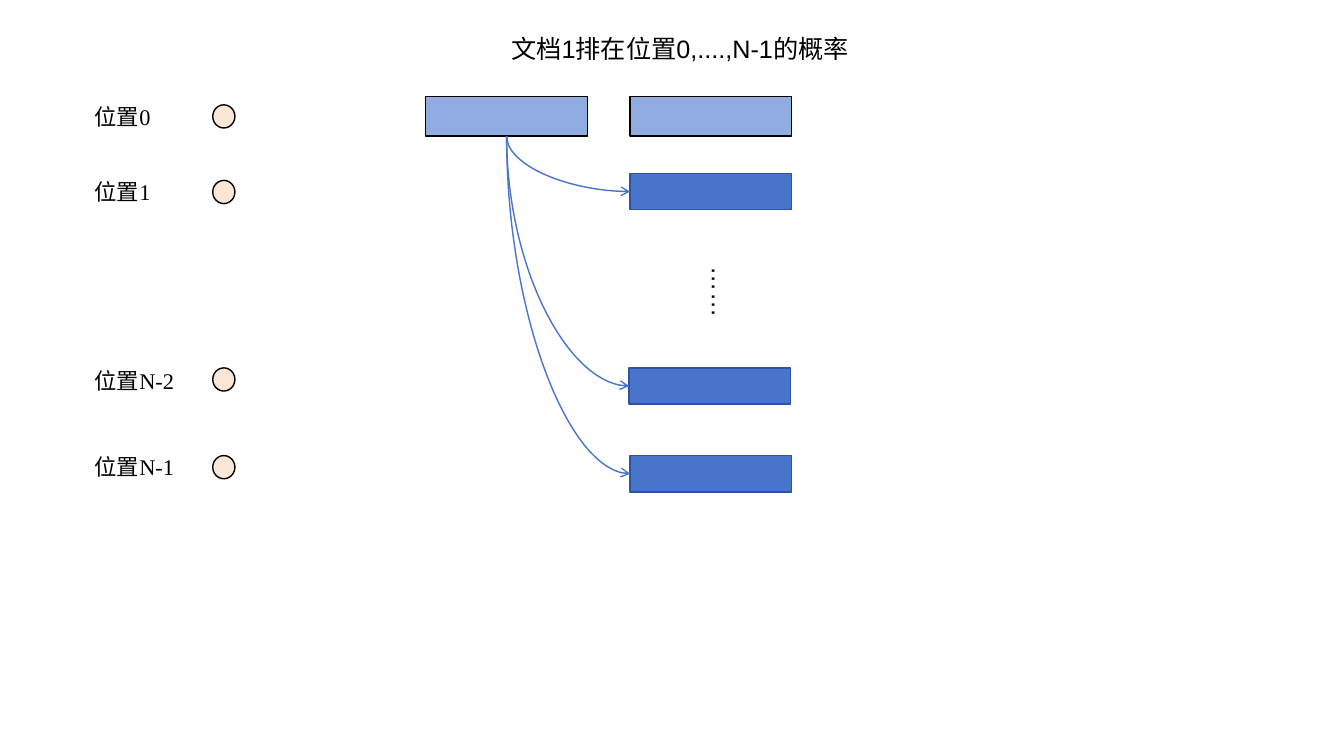
"""Build the slide on how likely document 1 is to land on each ranking position."""
from dataclasses import dataclass

import pptx
import pptx.dml.color
import pptx.enum.shapes
import pptx.enum.text
import pptx.oxml
import pptx.oxml.ns
import pptx.shapes.autoshape
import pptx.slide
import pptx.text.text
import pptx.util

EMU_PER_PX = 9144
BLACK = pptx.dml.color.RGBColor(0x00, 0x00, 0x00)
BLUE = pptx.dml.color.RGBColor(0x48, 0x74, 0xCB)
DARK_BLUE = pptx.dml.color.RGBColor(0x2E, 0x54, 0xA1)
LIGHT_BLUE = pptx.dml.color.RGBColor(0x91, 0xAC, 0xE0)
PEACH = pptx.dml.color.RGBColor(0xFC, 0xE6, 0xD5)
RECTANGLE = pptx.enum.shapes.MSO_SHAPE.RECTANGLE
OVAL = pptx.enum.shapes.MSO_SHAPE.OVAL


@dataclass(frozen=True)
class Box:
    """A rectangle in px."""

    left: int
    top: int
    width: int
    height: int

    def emu(self) -> tuple[int, ...]:
        """Return left, top, width and height in EMU."""
        return tuple(px(v) for v in (self.left, self.top, self.width, self.height))


@dataclass(frozen=True)
class Position:
    """One ranking position: its label, circle and target bar."""

    label: str
    label_top: int
    label_width: int
    circle_top: int
    bar: Box
    bar_fill: pptx.dml.color.RGBColor = BLUE
    bar_line: pptx.dml.color.RGBColor = DARK_BLUE


SOURCE_BAR = Box(422, 96, 161, 39)
FIRST = Position("位置0", 97, 84, 104, Box(625, 96, 160, 39), LIGHT_BLUE, BLACK)
LATER = [
    Position("位置1", 172, 84, 179, Box(625, 172, 160, 36)),
    Position("位置N-2", 359, 127, 365, Box(624, 365, 160, 36)),
    Position("位置N-1", 445, 113, 452, Box(625, 452, 160, 36)),
]


def px(length: float) -> int:
    """Turn px into EMU."""
    return round(length * EMU_PER_PX)


def add_outline(slide: pptx.slide.Slide, kind: pptx.enum.shapes.MSO_SHAPE, box: Box,
                fill: pptx.dml.color.RGBColor, line: pptx.dml.color.RGBColor) -> None:
    """Draw a filled shape with a thin outline."""
    shape = slide.shapes.add_shape(kind, *box.emu())
    shape.shadow.inherit = False
    shape.fill.solid()
    shape.fill.fore_color.rgb = fill
    shape.line.color.rgb = line
    shape.line.width = pptx.util.Pt(1)


def write(frame: pptx.text.text.TextFrame, wording: str, size: int, font: str) -> None:
    """Put one left-aligned run into a text frame."""
    frame.word_wrap = True
    frame.auto_size = pptx.enum.text.MSO_AUTO_SIZE.SHAPE_TO_FIT_TEXT
    frame.vertical_anchor = pptx.enum.text.MSO_ANCHOR.TOP
    paragraph = frame.paragraphs[0]
    paragraph.alignment = pptx.enum.text.PP_ALIGN.LEFT
    run = paragraph.add_run()
    run.text = wording
    run.font.size = pptx.util.Pt(size)
    run.font.name = font
    run.font.color.rgb = BLACK


def add_arrow(slide: pptx.slide.Slide, source: Box, target: Box) -> None:
    """Curve an arrow from the bottom of source to the left side of target."""
    start_x, start_y = source.left + source.width / 2, source.top + source.height
    end_x, end_y = target.left, target.top + target.height / 2
    middle_x, middle_y = (start_x + end_x) / 2, (start_y + end_y) / 2
    half_run, half_drop = (end_x - start_x) / 2, (end_y - start_y) / 2
    arrow = slide.shapes.add_connector(
        pptx.enum.shapes.MSO_CONNECTOR.CURVE,
        px(middle_x - half_drop), px(middle_y + half_run),
        px(middle_x + half_drop), px(middle_y - half_run))
    arrow.line.color.rgb = BLUE
    arrow.line.width = pptx.util.Pt(1)
    qn = pptx.oxml.ns.qn
    properties = arrow._element.spPr
    properties.find(qn("a:xfrm")).set("rot", str(90 * 60000))
    properties.find(qn("a:prstGeom")).set("prst", "curvedConnector2")
    namespace = pptx.oxml.ns.nsdecls("a")
    properties.find(qn("a:ln")).append(
        pptx.oxml.parse_xml(f'<a:tailEnd {namespace} type="arrow"/>'))
    properties.append(pptx.oxml.parse_xml(f"<a:effectLst {namespace}/>"))


def add_position(slide: pptx.slide.Slide, position: Position) -> None:
    """Draw the label, circle and bar of one position."""
    label_box = Box(84, position.label_top, position.label_width, 37)
    label = slide.shapes.add_textbox(*label_box.emu())
    write(label.text_frame, position.label, 16, "Times New Roman")
    add_outline(slide, OVAL, Box(211, position.circle_top, 22, 23), PEACH, BLACK)
    add_outline(slide, RECTANGLE, position.bar, position.bar_fill, position.bar_line)


def main() -> None:
    """Build and save the slide."""
    deck = pptx.Presentation()
    deck.slide_width, deck.slide_height = px(1333), px(750)
    slide = deck.slides.add_slide(deck.slide_layouts.get_by_name("Title Only"))

    title = slide.shapes.title
    title.left, title.top, title.width, title.height = Box(497, 28, 444, 40).emu()
    write(title.text_frame, "文档1排在位置0,....,N-1的概率", 18, "Arial")

    for position in [FIRST, *LATER]:
        add_position(slide, position)

    omitted = slide.shapes.add_textbox(*Box(686, 255, 50, 74).emu())
    write(omitted.text_frame, "……", 18, "Arial")
    omitted.text_frame._txBody.bodyPr.set("vert", "eaVert")

    add_outline(slide, RECTANGLE, SOURCE_BAR, LIGHT_BLUE, BLACK)
    for position in LATER:
        add_arrow(slide, SOURCE_BAR, position.bar)

    deck.save("out.pptx")


if __name__ == "__main__":
    main()
